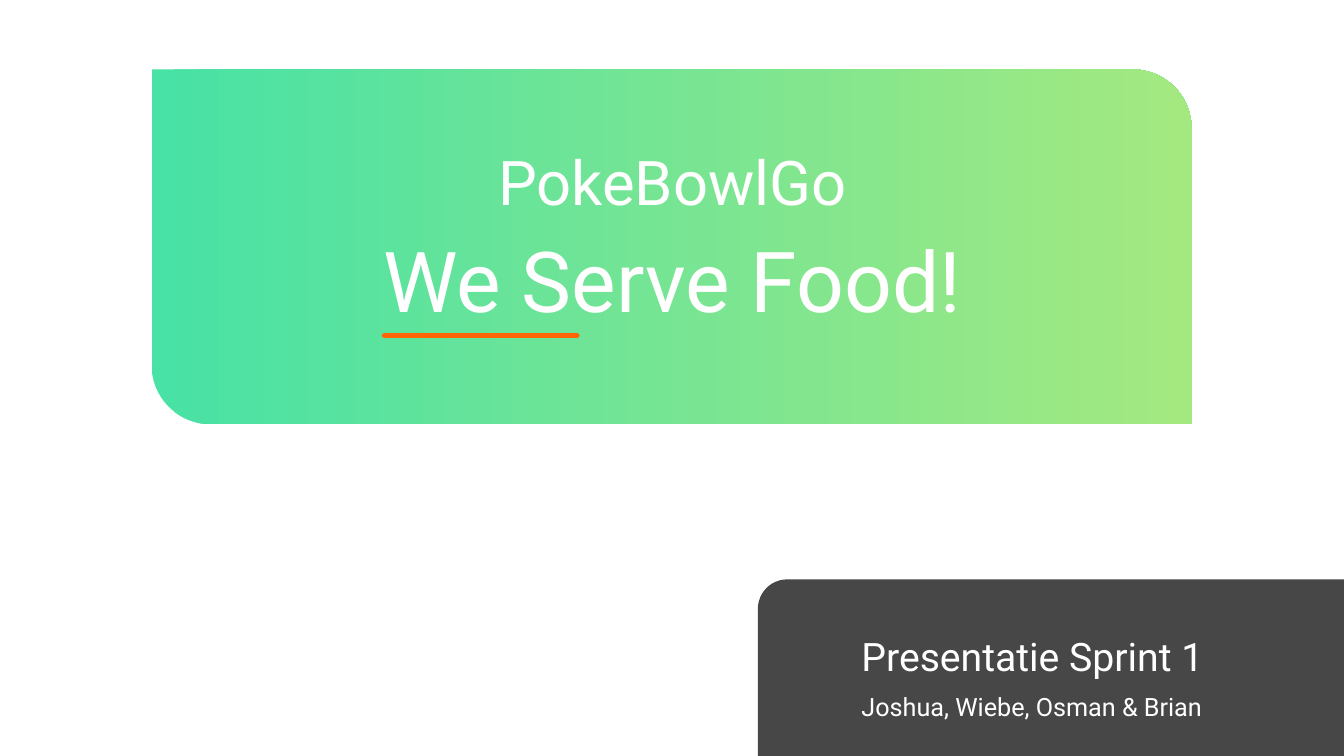
import pptx
import pptx.dml.color
import pptx.enum.dml
import pptx.enum.shapes
import pptx.enum.text
import pptx.util
from lxml import etree
from pptx.oxml import ns

Cm = pptx.util.Cm
Pt = pptx.util.Pt
SHAPE = pptx.enum.shapes.MSO_SHAPE
ALIGN = pptx.enum.text.PP_ALIGN

FONT = "Roboto"
SLIDE_W, SLIDE_H = 33.87, 19.05
COLORS = {
    "mint": "48E1A6",
    "lime": "A4E980",
    "orange": "FF6502",
    "charcoal": "474747",
    "white": "FFFFFF",
}


def rgb(name):
    return pptx.dml.color.RGBColor.from_string(COLORS[name])


def add_panel(s, kind, x, y, w, h):
    sp = s.shapes.add_shape(kind, Cm(x), Cm(y), Cm(w), Cm(h))
    sp.shadow.inherit = False
    sp.line.fill.background()
    return sp


def add_text(s, text, x, y, w, h, size, align):
    tf = s.shapes.add_textbox(Cm(x), Cm(y), Cm(w), Cm(h)).text_frame
    tf.word_wrap = True
    tf.auto_size = pptx.enum.text.MSO_AUTO_SIZE.SHAPE_TO_FIT_TEXT
    p = tf.paragraphs[0]
    p.text = text
    p.alignment = align
    p.font.name = FONT
    p.font.size = Pt(size)
    p.font.color.rgb = rgb("white")


def add_underline(s, x, y, length):
    line = s.shapes.add_connector(
        pptx.enum.shapes.MSO_CONNECTOR.STRAIGHT, Cm(x), Cm(y), Cm(x + length), Cm(y))
    line.line.color.rgb = rgb("orange")
    line.line.width = Pt(3.75)
    sp_pr = line._element.spPr
    sp_pr.find(ns.qn("a:ln")).set("cap", "rnd")
    etree.SubElement(sp_pr, ns.qn("a:effectLst"))


def add_banner(s, x, y, w, h):
    sp = add_panel(s, SHAPE.ROUND_2_DIAG_RECTANGLE, x, y, w, h)
    sp.adjustments[0] = 0
    sp.adjustments[1] = 0.16667
    sp.fill.gradient()
    sp.fill.gradient_angle = 0
    for stop, name, position in zip(sp.fill.gradient_stops, ("mint", "lime"), (0, 1)):
        stop.color.rgb = rgb(name)
        stop.position = position
    add_text(s, "PokeBowlGo", x + 5.13, y + 1.76, 16, 2.13, 44, ALIGN.CENTER)
    add_text(s, "We Serve Food!", x + 4.72, y + 3.89, 16.81, 2.82, 60, ALIGN.CENTER)
    add_underline(s, x + 5.87, y + 6.71, 4.85)


def add_team_panel(s, x, y, w, h):
    sp = add_panel(s, SHAPE.ROUND_1_RECTANGLE, x, y, w, h)
    sp._element.spPr.find(ns.qn("a:xfrm")).set("flipH", "1")
    sp.fill.solid()
    sp.fill.fore_color.rgb = rgb("charcoal")
    add_text(s, "Presentatie Sprint 1", x + 2.36, y + 1.22, 10.08, 1.45, 28, ALIGN.LEFT)
    add_text(s, "Joshua, Wiebe, Osman & Brian", x + 2.36, y + 2.69, 9.27, 1.02, 18, ALIGN.LEFT)


def main():
    prs = pptx.Presentation()
    prs.slide_width, prs.slide_height = Cm(SLIDE_W), Cm(SLIDE_H)
    s = prs.slides.add_slide(prs.slide_layouts[6])
    add_banner(s, 3.82, 1.75, 26.21, 8.94)
    panel_x, panel_y = 19.1, 14.6
    add_team_panel(s, panel_x, panel_y, SLIDE_W - panel_x, SLIDE_H - panel_y)
    prs.save("out.pptx")


if __name__ == "__main__":
    main()
